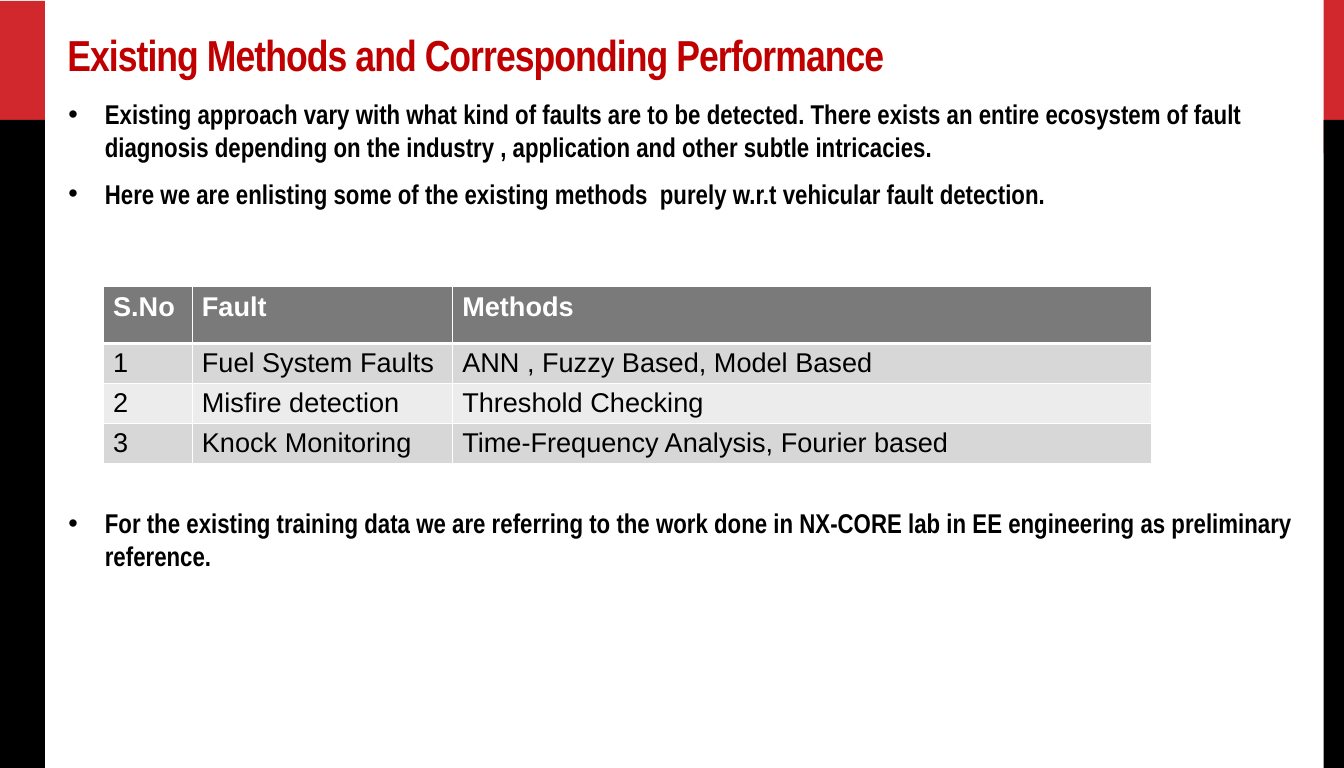
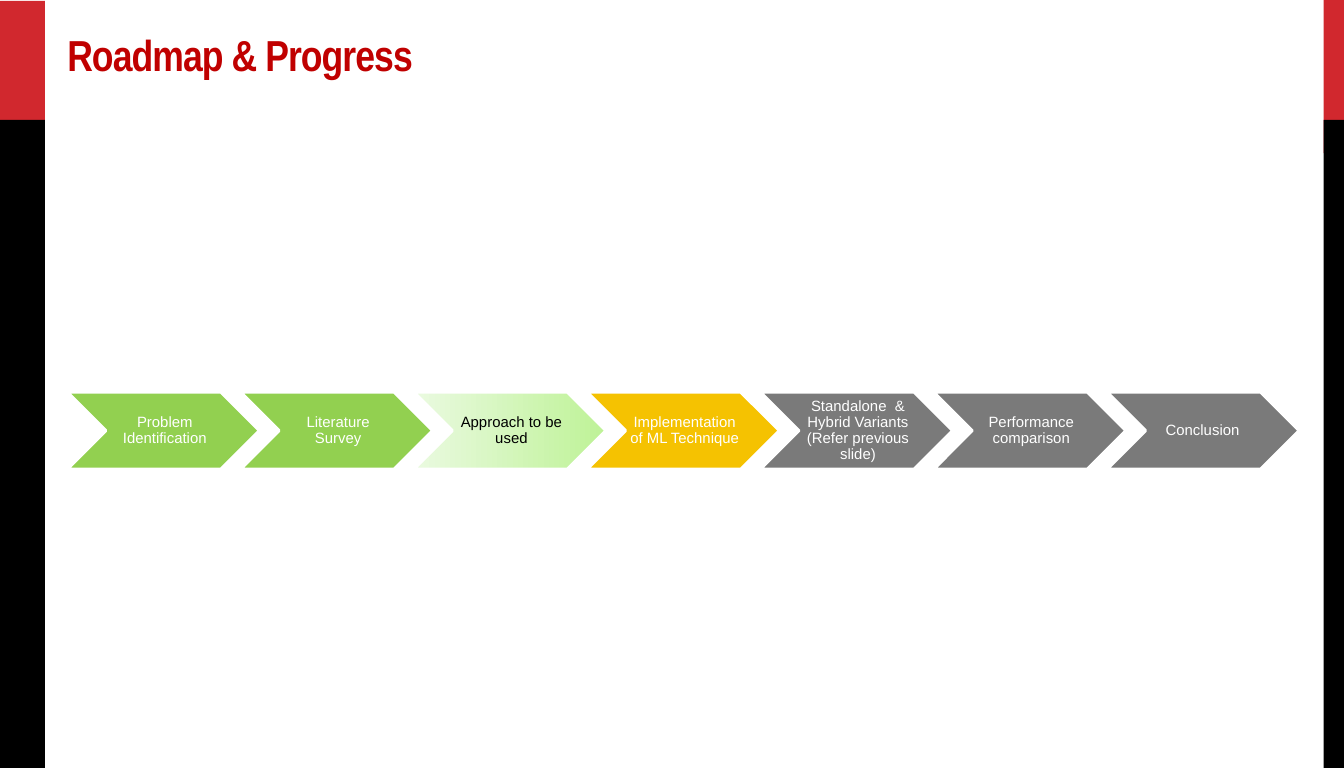
from lxml import etree
from pptx import Presentation
from pptx.dml.color import RGBColor
from pptx.enum.shapes import MSO_SHAPE
from pptx.enum.text import MSO_ANCHOR, MSO_AUTO_SIZE, PP_ALIGN
from pptx.oxml.ns import qn
from pptx.util import Cm, Inches, Pt

RECT, CHEVRON = MSO_SHAPE.RECTANGLE, MSO_SHAPE.CHEVRON
TOP, MIDDLE, BOTTOM = MSO_ANCHOR.TOP, MSO_ANCHOR.MIDDLE, MSO_ANCHOR.BOTTOM
LEFT, CENTER = PP_ALIGN.LEFT, PP_ALIGN.CENTER
FIXED = MSO_AUTO_SIZE.NONE

WIDE, HIGH = Cm(35), Cm(20)
WHITE, BLACK, GREY = "FFFFFF", "000000", "7A7A7A"
RED, CRIMSON, GREEN, GOLD = "D1282E", "C00000", "92D050", "F5C201"
PALE, LIME = "EAFAE0", "BEF297"
STRIPES = ["D7D7D7", "ECECEC"]
SANS, NARROW = "Arial", "Arial Narrow"
SIDES = [(13.57, 0, 0.22), (0, 0.01, 0.46)]
RED_H, SPLIT, BLACK_H = 1.57, 1.23, 6.65
FRAMES = [((0.58, 0.18, 12.86, 0.7), BOTTOM),
          ((0.59, 0.94, 12.97, 6.67), TOP)]

METHODS = "Existing Methods and Corresponding Performance"
POINTS = [
    ("Existing approach vary with what kind of faults are to be detected. "
     "There exists an entire ecosystem of fault diagnosis depending on the "
     "industry , application and other subtle intricacies. ", None),
    ("Here we are enlisting some of the existing methods  purely w.r.t "
     "vehicular fault detection.", None),
    ("For the existing training data we are referring to the work done in "
     "NX-CORE lab in EE engineering as preliminary reference.", 212.5),
]
FAULTS = [
    ("S.No", "Fault", "Methods"),
    ("1", "Fuel System Faults ", "ANN , Fuzzy Based, Model Based"),
    ("2", "Misfire detection", "Threshold Checking "),
    ("3", "Knock Monitoring", "Time-Frequency Analysis, Fourier based"),
]
COLS, ROWS = [0.91, 2.67, 7.17], [0.58, 0.41, 0.41, 0.41]

ROADMAP = "Roadmap & Progress"
STEPS = [
    ("Problem Identification", [GREEN], WHITE),
    ("Literature Survey", [GREEN], WHITE),
    ("Approach to be used", [PALE, LIME], BLACK),
    ("Implementation of ML Technique", [GOLD], WHITE),
    ("Standalone  & Hybrid Variants (Refer previous slide)", [GREY], WHITE),
    ("Performance comparison", [GREY], WHITE),
    ("Conclusion ", [GREY], WHITE),
]
START, STOP, STEP_W, STEP_H = 0.69, 13.32, 1.97, 0.79
STEP_Y, TEXT_W = 4.02, 1.19


def color(code):
    return RGBColor.from_string(code)


def place(shape, box):
    shape.left, shape.top, shape.width, shape.height = map(Inches, box)


def write(par, text, size, font, code, bold=False):
    run = par.add_run()
    run.text = text
    run.font.size, run.font.name, run.font.bold = Pt(size), font, bold
    run.font.color.rgb = color(code)
    return run


def draw(shapes, kind, box, fills):
    shape = shapes.add_shape(kind, *map(Inches, box))
    shape.shadow.inherit = False
    if len(fills) == 1:
        shape.fill.solid()
        shape.fill.fore_color.rgb = color(fills[0])
    else:
        shape.fill.gradient()
        shape.fill.gradient_angle = 0
        for stop, code in zip(shape.fill.gradient_stops, fills):
            stop.color.rgb = color(code)
    shape.line.fill.background()
    return shape


def inset(frame, left, top, right, bottom):
    frame.margin_left, frame.margin_top = Inches(left), Inches(top)
    frame.margin_right, frame.margin_bottom = Inches(right), Inches(bottom)
    frame.word_wrap = True


def add_page(deck, layout, title):
    page = deck.slides.add_slide(deck.slide_layouts[layout])
    frame = page.shapes.title.text_frame
    frame.auto_size = FIXED
    par = frame.paragraphs[0]
    par.alignment = LEFT
    run = write(par, title, 32, NARROW, CRIMSON, True)
    run._r.get_or_add_rPr().set("spc", "-70")
    return page


def set_master(deck, page):
    master = deck.slide_master
    for item, (box, anchor) in zip(master.placeholders, FRAMES):
        place(item, box)
        inset(item.text_frame, 0.11, 0.06, 0.11, 0.06)
        item.text_frame.vertical_anchor = anchor
    tree = master.shapes._spTree
    spot = 2
    for left, start, width in SIDES:
        for top, high, code in [(start, RED_H, RED), (SPLIT, BLACK_H, BLACK)]:
            band = draw(page.shapes, RECT, (left, top, width, high), [code])
            tree.insert(spot, band._element)
            spot += 1


def edge(cell, base):
    props = cell._tc.get_or_add_tcPr()
    for side in "LRTB":
        width = base if side == "B" else 1
        line = etree.SubElement(props, qn("a:ln" + side), w=str(Pt(width)))
        solid = etree.SubElement(line, qn("a:solidFill"))
        etree.SubElement(solid, qn("a:srgbClr"), val=WHITE)


def add_faults(page):
    size = (1.06, 2.94, sum(COLS), sum(ROWS))
    table = page.shapes.add_table(len(ROWS), len(COLS),
                                  *map(Inches, size)).table
    table.horz_banding = False
    for col, width in zip(table.columns, COLS):
        col.width = Inches(width)
    for i, texts in enumerate(FAULTS):
        head = i == 0
        table.rows[i].height = Inches(ROWS[i])
        for j, text in enumerate(texts):
            cell = table.cell(i, j)
            edge(cell, 3 if head else 1)
            cell.fill.solid()
            cell.fill.fore_color.rgb = color(
                GREY if head else STRIPES[(i - 1) % 2])
            write(cell.text_frame.paragraphs[0], text, 20, SANS,
                  WHITE if head else BLACK, head)


def add_points(page):
    frame = page.placeholders[1].text_frame
    frame.auto_size = FIXED
    for i, (text, gap) in enumerate(POINTS):
        par = frame.add_paragraph() if i else frame.paragraphs[0]
        par.space_after = Pt(6.8)
        if gap:
            par.space_before = Pt(gap)
        write(par, text, 20, NARROW, BLACK, True)


def add_steps(page):
    group = page.shapes.add_group_shape()
    pitch = (STOP - START - STEP_W) / (len(STEPS) - 1)
    for i, (text, fills, ink) in enumerate(STEPS):
        left = START + i * pitch
        step = draw(group.shapes, CHEVRON,
                    (left, STEP_Y, STEP_W, STEP_H), fills)
        step.line.color.rgb = color(WHITE)
        step.line.width = Pt(2.25)
        box = (left + (STEP_W - TEXT_W) / 2, STEP_Y, TEXT_W, STEP_H)
        frame = group.shapes.add_textbox(*map(Inches, box)).text_frame
        inset(frame, 0.04, 0.02, 0.01, 0.02)
        frame.vertical_anchor = MIDDLE
        par = frame.paragraphs[0]
        par.alignment, par.line_spacing = CENTER, 0.9
        write(par, text, 11, SANS, ink)


deck = Presentation()
deck.slide_width, deck.slide_height = WIDE, HIGH
page = add_page(deck, 1, METHODS)
set_master(deck, page)
add_points(page)
add_faults(page)
add_steps(add_page(deck, 5, ROADMAP))
deck.save("out.pptx")
